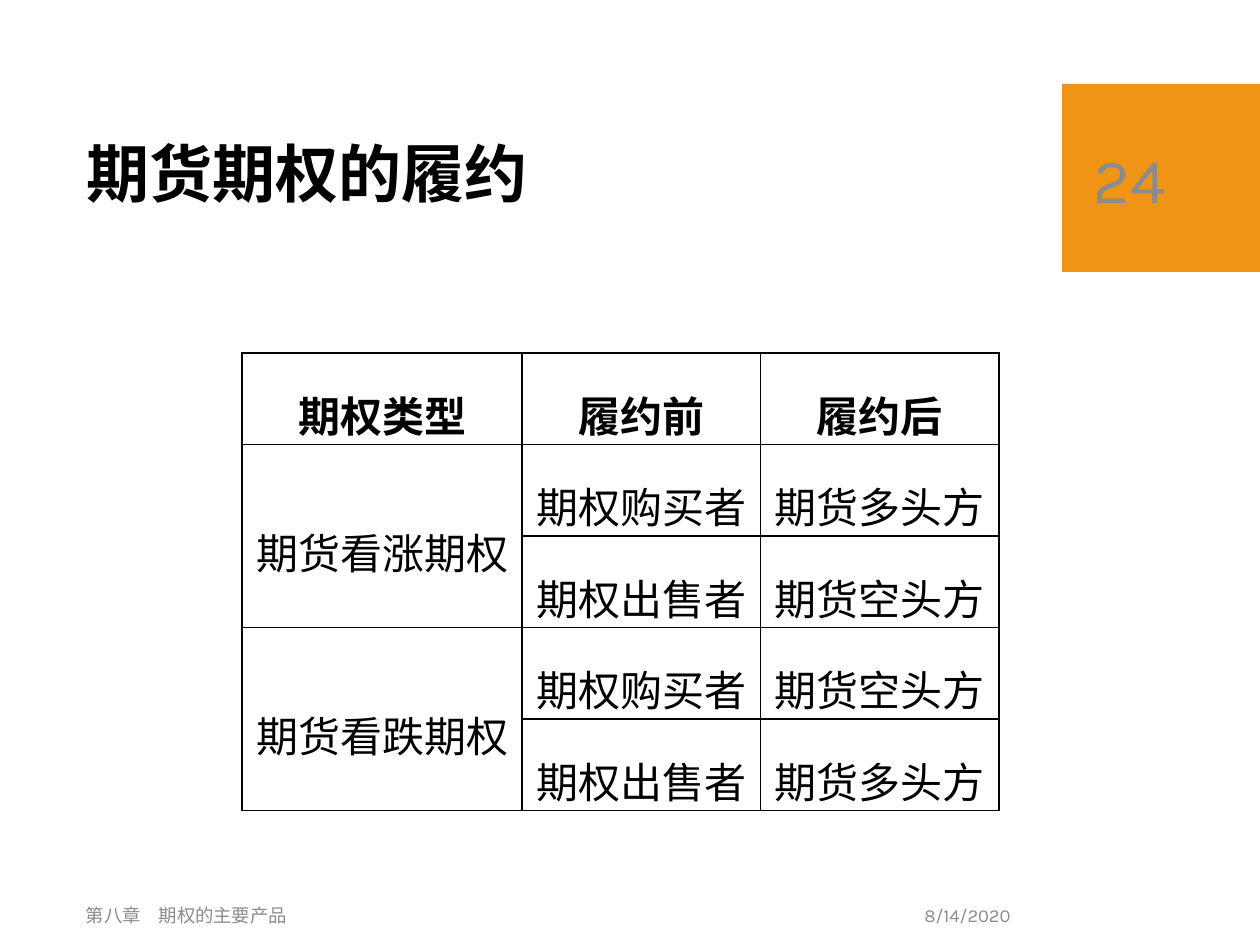
from lxml import etree
from pptx import Presentation
from pptx.dml.color import RGBColor
from pptx.enum.shapes import MSO_SHAPE
from pptx.enum.text import MSO_ANCHOR, PP_ALIGN
from pptx.oxml.ns import qn
from pptx.util import Pt

RECT = MSO_SHAPE.RECTANGLE
TOP, MID = MSO_ANCHOR.TOP, MSO_ANCHOR.MIDDLE
LEFT, MIDST, RIGHT = PP_ALIGN.LEFT, PP_ALIGN.CENTER, PP_ALIGN.RIGHT
HEX = {"ink": "000000", "gray": "8C8C8C", "orange": "F09415", "white": "FFFFFF"}
WIDTHS = [160, 136.2, 136.2]
ROW = 52.2
ROWS = [
    ["期权类型", "履约前", "履约后"],
    ["期货看涨期权", "期权购买者", "期货多头方"],
    ["", "期权出售者", "期货空头方"],
    ["期货看跌期权", "期权购买者", "期货空头方"],
    ["", "期权出售者", "期货多头方"],
]


def color(name):
    return RGBColor.from_string(HEX[name])


def write(frame, text, size=10.5, font="Karla", ink="gray", bold=False,
          align=LEFT, space=1.0):
    para = frame.paragraphs[0]
    para.alignment = align
    para.line_spacing = space
    run = para.add_run()
    run.text = text
    run.font.size = Pt(size)
    run.font.name = font
    run.font.bold = bold
    run.font.color.rgb = color(ink)


def add_block(slide, x, y, w, h, fill):
    block = slide.shapes.add_shape(RECT, Pt(x), Pt(y), Pt(w), Pt(h))
    block.shadow.inherit = False
    block.fill.solid()
    block.fill.fore_color.rgb = color(fill)
    block.line.fill.background()


def add_label(slide, x, y, w, h, text, **style):
    frame = slide.shapes.add_textbox(Pt(x), Pt(y), Pt(w), Pt(h)).text_frame
    frame.word_wrap = True
    frame.vertical_anchor = MID
    write(frame, text, **style)


def set_title(slide, x, y, w, h, text):
    title = slide.shapes.title
    title.left, title.top, title.width, title.height = Pt(x), Pt(y), Pt(w), Pt(h)
    title.text_frame.vertical_anchor = MID
    write(title.text_frame, text, size=36, ink="ink", bold=True, space=0.9)


def add_border(cell):
    props = cell._tc.get_or_add_tcPr()
    for i, side in enumerate(("a:lnL", "a:lnR", "a:lnT", "a:lnB")):
        line = etree.Element(qn(side), w=str(Pt(1)))
        fill = etree.SubElement(line, qn("a:solidFill"))
        etree.SubElement(fill, qn("a:srgbClr"), val=HEX["ink"])
        props.insert(i, line)


def add_grid(slide, x, y):
    grid = slide.shapes.add_table(len(ROWS), len(WIDTHS), Pt(x), Pt(y),
                                  Pt(sum(WIDTHS)), Pt(ROW * len(ROWS))).table
    for col, width in zip(grid.columns, WIDTHS):
        col.width = Pt(width)
    for r, row in enumerate(ROWS):
        grid.rows[r].height = Pt(ROW)
        for c, text in enumerate(row):
            cell = grid.cell(r, c)
            cell.margin_left = cell.margin_right = Pt(5)
            cell.margin_top = cell.margin_bottom = 0
            cell.vertical_anchor = MID if r and c == 0 else TOP
            cell.fill.solid()
            cell.fill.fore_color.rgb = color("white")
            add_border(cell)
            if text:
                write(cell.text_frame, text, size=24, font="Times New Roman",
                      ink="ink", bold=r == 0, align=MIDST, space=1.5)
    # Each option type spans its buyer and seller rows
    for r in (1, 3):
        grid.cell(r, 0).merge(grid.cell(r + 1, 0))


def main():
    deck = Presentation()
    deck.slide_width, deck.slide_height = Pt(720), Pt(540)
    slide = deck.slides.add_slide(deck.slide_layouts[5])

    # Header
    add_block(slide, 607, 48, 113, 107.5, "orange")
    set_title(slide, 42, 59, 543, 85, "期货期权的履约")

    # Options table
    add_grid(slide, 138.4, 201.8)

    # Footer and page number
    add_label(slide, 422.5, 508.5, 162, 28.5, "8/14/2020", align=RIGHT)
    add_label(slide, 42, 508.5, 380.5, 28.5, "第八章　期权的主要产品")
    add_label(slide, 618, 59, 91.5, 85.5, "24", size=36)

    deck.save("out.pptx")


if __name__ == "__main__":
    main()
